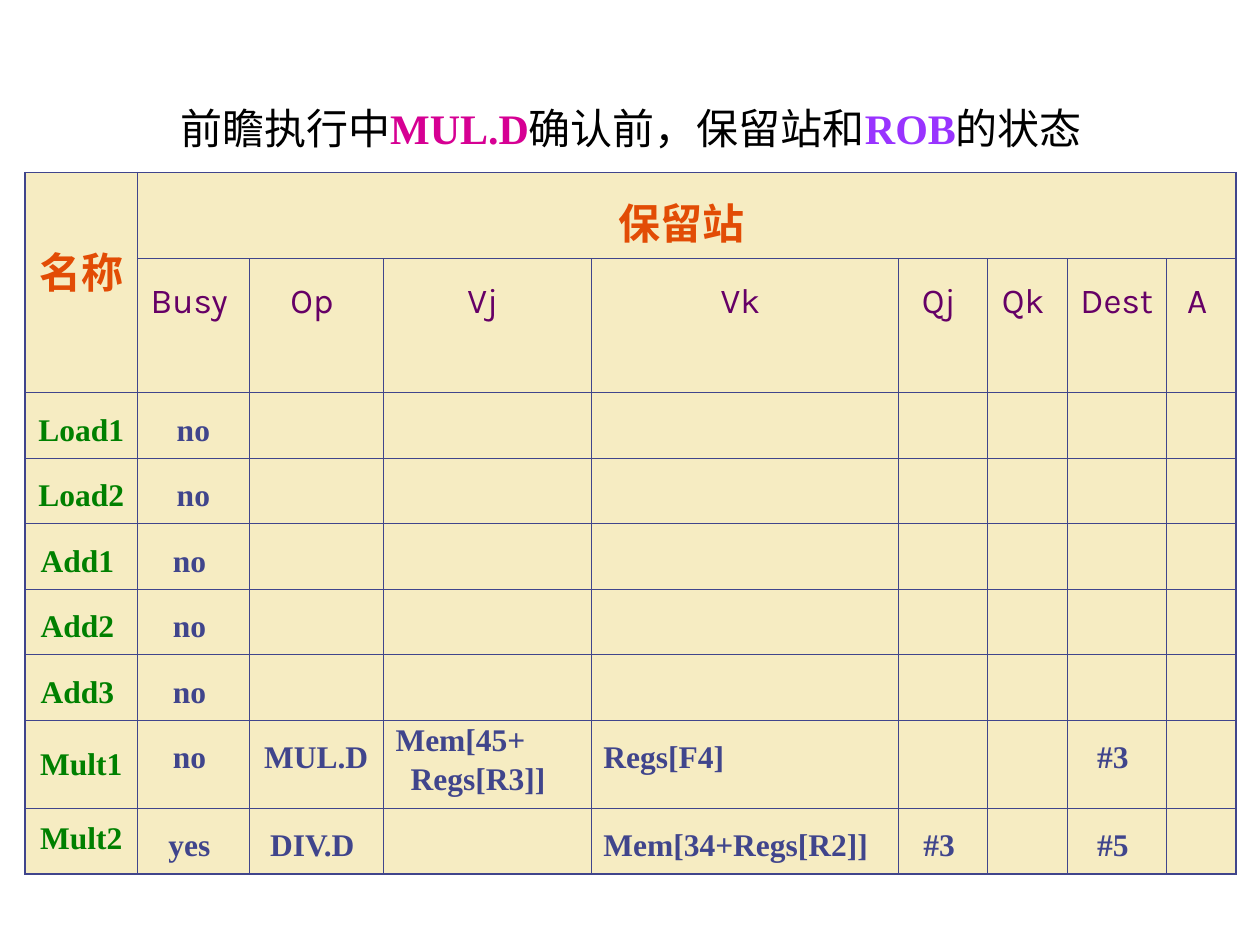
from dataclasses import dataclass

from lxml.etree import SubElement
from pptx import Presentation
from pptx.dml.color import RGBColor
from pptx.enum.text import MSO_ANCHOR, MSO_AUTO_SIZE, PP_ALIGN
from pptx.oxml import parse_xml
from pptx.oxml.ns import nsdecls, qn
from pptx.util import Inches, Pt


@dataclass(frozen=True)
class Theme:
    """Colours, fonts and type sizes of the slide."""
    black: str = "000000"
    pink: str = "D60093"
    violet: str = "9933FF"
    orange: str = "E24C05"
    purple: str = "660066"
    green: str = "008000"
    navy: str = "40458C"
    cream: str = "F6ECC2"
    chinese: str = "Noto Sans CJK SC"
    serif: str = "Times New Roman"
    sans: str = "Karla"
    large: int = 24
    medium: int = 20
    small: int = 18
    thin: float = 0.45
    thick: float = 1.08


THEME = Theme()
COLUMN_WIDTHS = [0.89, 0.89, 1.06, 1.65, 2.44, 0.71, 0.63, 0.79, 0.55]
ROW_HEIGHTS = [0.58, 1.03] + [0.52] * 5 + [0.7, 0.52]
FIELDS = ["Busy ", "Op ", "Vj ", "Vk ", "Qj ", "Qk ", "Dest ", "A "]
STATIONS = [
    ["Load1", "no"],
    ["Load2", "no"],
    ["Add1 ", "no "],
    ["Add2 ", "no "],
    ["Add3 ", "no "],
    ["Mult1 ", "no ", "MUL.D", "Mem[45+\nRegs[R3]]", "Regs[F4]", "", "", "#3 "],
    ["Mult2 ", "yes ", "DIV.D ", "", "Mem[34+Regs[R2]]", "#3 ", "", "#5 "],
]
NAME_SPACING = {"Mult1 ": 1.6, "Mult2 ": 1.2}
LEFT_COLUMNS = (3, 4)


def add_span(para, text, *, font, size, color, bold=False):
    """Append one formatted run to a paragraph."""
    span = para.add_run()
    span.text = text
    span.font.name = font
    span.font.size = Pt(size)
    span.font.bold = bold
    span.font.color.rgb = RGBColor.from_string(color)
    SubElement(span.font._element, qn("a:ea")).set("typeface", font)


def write_cell(cell, text, *, spacing=1.4, align=PP_ALIGN.CENTER, **font_format):
    """Write each line of text as a paragraph, indenting the continuation lines."""
    frame = cell.text_frame
    for index, line in enumerate(text.split("\n")):
        para = frame.add_paragraph() if index else frame.paragraphs[0]
        para.alignment = align
        para.line_spacing = spacing
        if index:
            para.space_before = Pt(4.5)
            para._p.get_or_add_pPr().set("marL", str(Inches(0.12)))
        add_span(para, line, **font_format)


def style_cell(cell, row, column):
    """Fill a cell and draw its borders, thicker on the outside of the table."""
    cell.fill.solid()
    cell.fill.fore_color.rgb = RGBColor.from_string(THEME.cream)
    outer_edges = {
        "lnL": column == 0,
        "lnR": column + cell.span_width == len(COLUMN_WIDTHS),
        "lnT": row == 0,
        "lnB": row + cell.span_height == len(ROW_HEIGHTS),
    }
    properties = cell._tc.get_or_add_tcPr()
    for index, (edge, outer) in enumerate(outer_edges.items()):
        width = Pt(THEME.thick if outer else THEME.thin)
        properties.insert(index, parse_xml(
            f'<a:{edge} {nsdecls("a")} w="{width}"><a:solidFill>'
            f'<a:srgbClr val="{THEME.navy}"/></a:solidFill></a:{edge}>'))


def place_title(page, left, top, width, height):
    """Place the title with its coloured terms."""
    title = page.shapes.title
    title.left, title.top, title.width, title.height = left, top, width, height
    frame = title.text_frame
    frame.auto_size = MSO_AUTO_SIZE.NONE
    frame.word_wrap = True
    frame.vertical_anchor = MSO_ANCHOR.MIDDLE
    para = frame.paragraphs[0]
    para.alignment = PP_ALIGN.LEFT
    plain = dict(font=THEME.chinese, size=THEME.large, color=THEME.black)
    term = dict(font=THEME.serif, size=THEME.large, bold=True)
    add_span(para, "前瞻执行中", **plain)
    add_span(para, "MUL.D", color=THEME.pink, **term)
    add_span(para, "确认前，保留站和", **plain)
    add_span(para, "ROB", color=THEME.violet, **term)
    add_span(para, "的状态", **plain)


def place_station_table(page, left, top, width, height):
    """Place the reservation station table."""
    frame = page.shapes.add_table(len(ROW_HEIGHTS), len(COLUMN_WIDTHS),
                                  left, top, width, height)
    table = frame.table
    table.first_row = table.horz_banding = False
    for column, size in zip(table.columns, COLUMN_WIDTHS):
        column.width = Inches(size)
    for row, size in zip(table.rows, ROW_HEIGHTS):
        row.height = Inches(size)
    table.cell(0, 0).merge(table.cell(1, 0))
    table.cell(0, 1).merge(table.cell(0, len(FIELDS)))
    for row in range(len(ROW_HEIGHTS)):
        for column in range(len(COLUMN_WIDTHS)):
            style_cell(table.cell(row, column), row, column)

    heading = dict(font=THEME.chinese, size=THEME.large, color=THEME.orange, bold=True)
    write_cell(table.cell(0, 0), "名称 ", spacing=2.0, **heading)
    write_cell(table.cell(0, 1), "保留站 ", spacing=1.2, **heading)
    for column, field in enumerate(FIELDS, 1):
        write_cell(table.cell(1, column), field, font=THEME.sans,
                   size=THEME.medium, color=THEME.purple)
    body = dict(font=THEME.serif, size=THEME.small, bold=True)
    for row, (name, *values) in enumerate(STATIONS, 2):
        write_cell(table.cell(row, 0), name, spacing=NAME_SPACING.get(name, 1.4),
                   color=THEME.green, **body)
        for column, value in enumerate(values, 1):
            if value:
                write_cell(table.cell(row, column), value,
                           spacing=0.9 if "\n" in value else 1.4,
                           align=PP_ALIGN.LEFT if column in LEFT_COLUMNS else PP_ALIGN.CENTER,
                           color=THEME.navy, **body)


def main():
    """Build and save the deck."""
    deck = Presentation()
    deck.slide_width, deck.slide_height = Inches(10), Inches(7.5)
    page = deck.slides.add_slide(deck.slide_layouts[5])
    place_station_table(page, Inches(0.2), Inches(1.37), Inches(9.61), Inches(5.5))
    place_title(page, Inches(1.33), Inches(0.76), Inches(7.92), Inches(0.5))
    deck.save("out.pptx")


if __name__ == "__main__":
    main()
